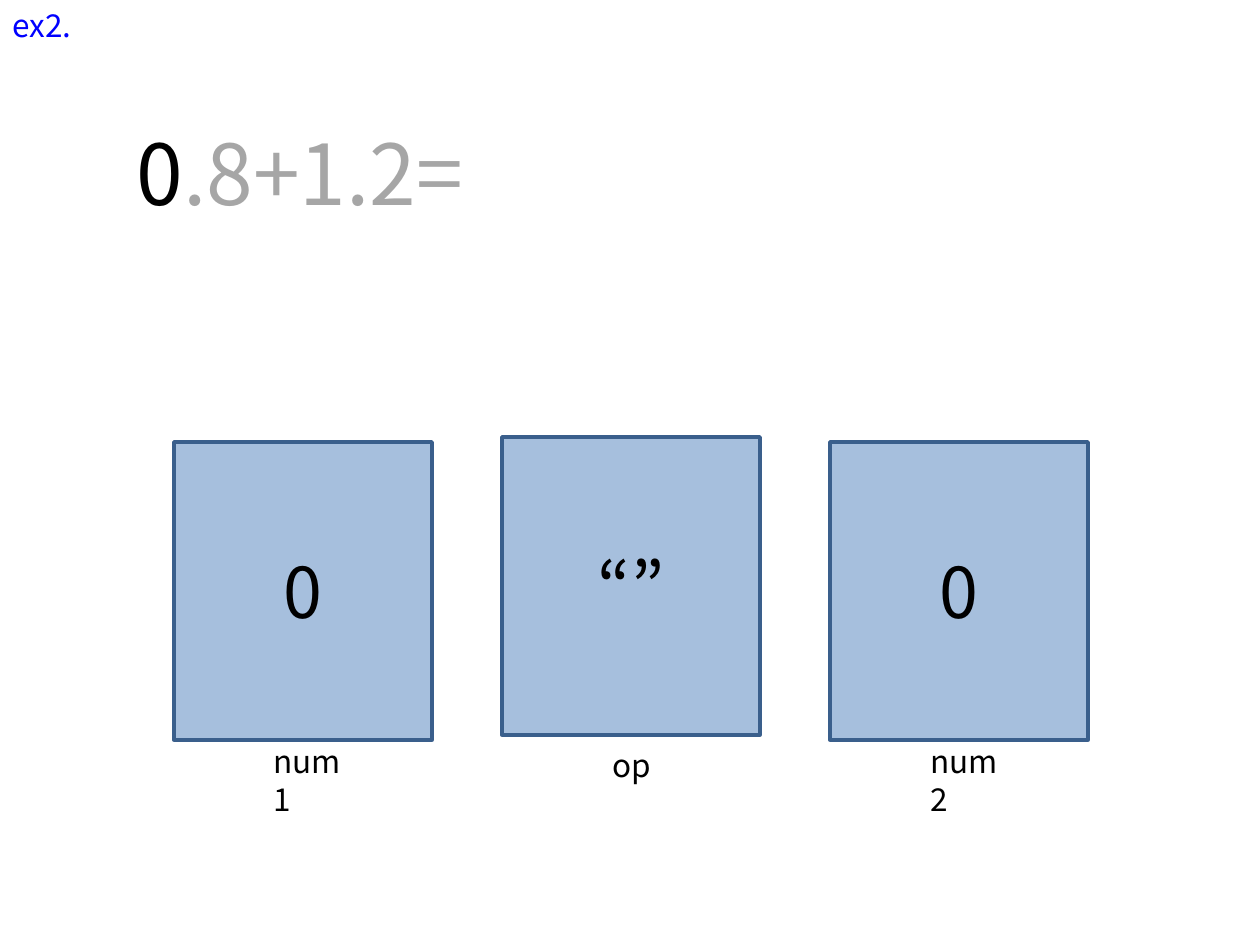
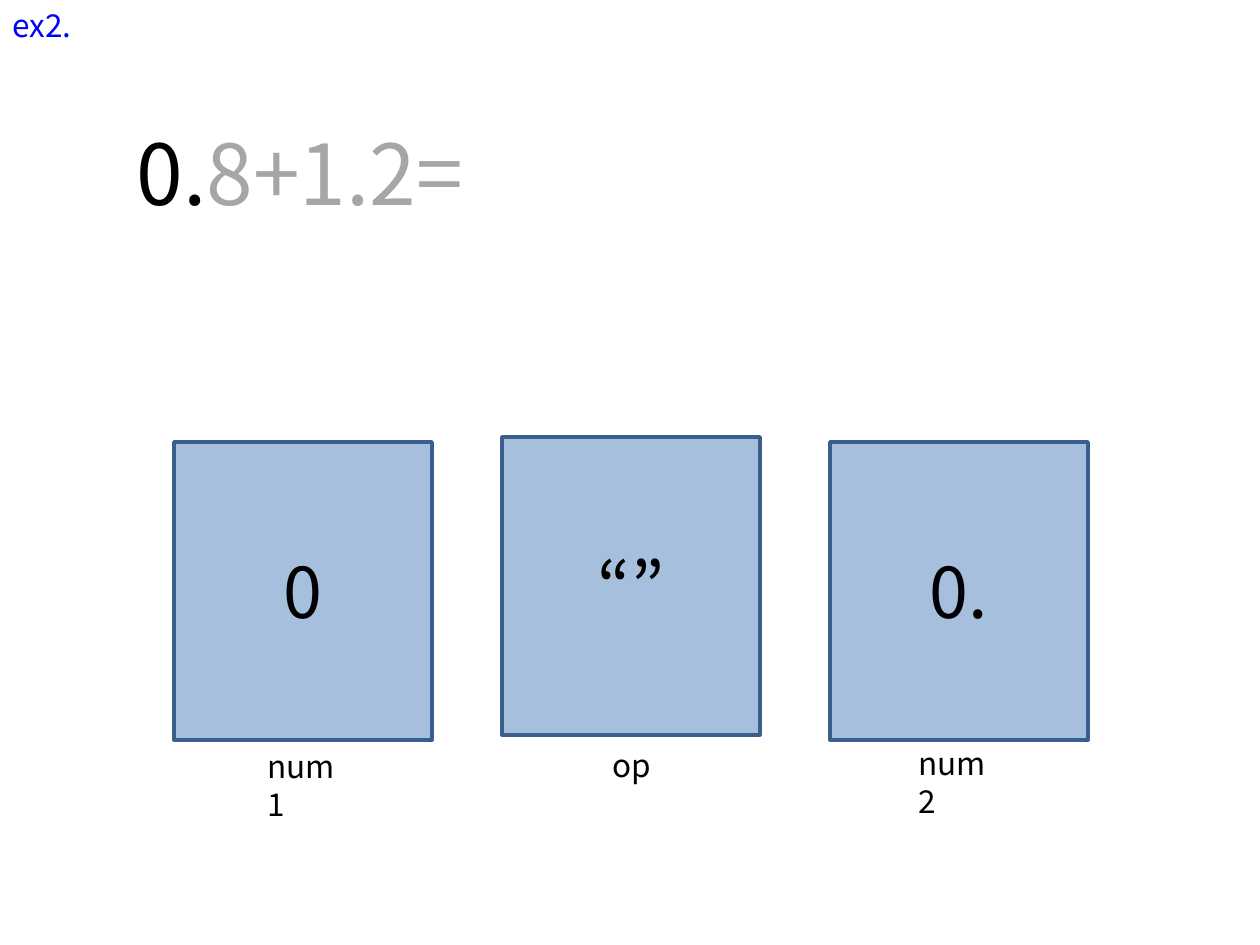
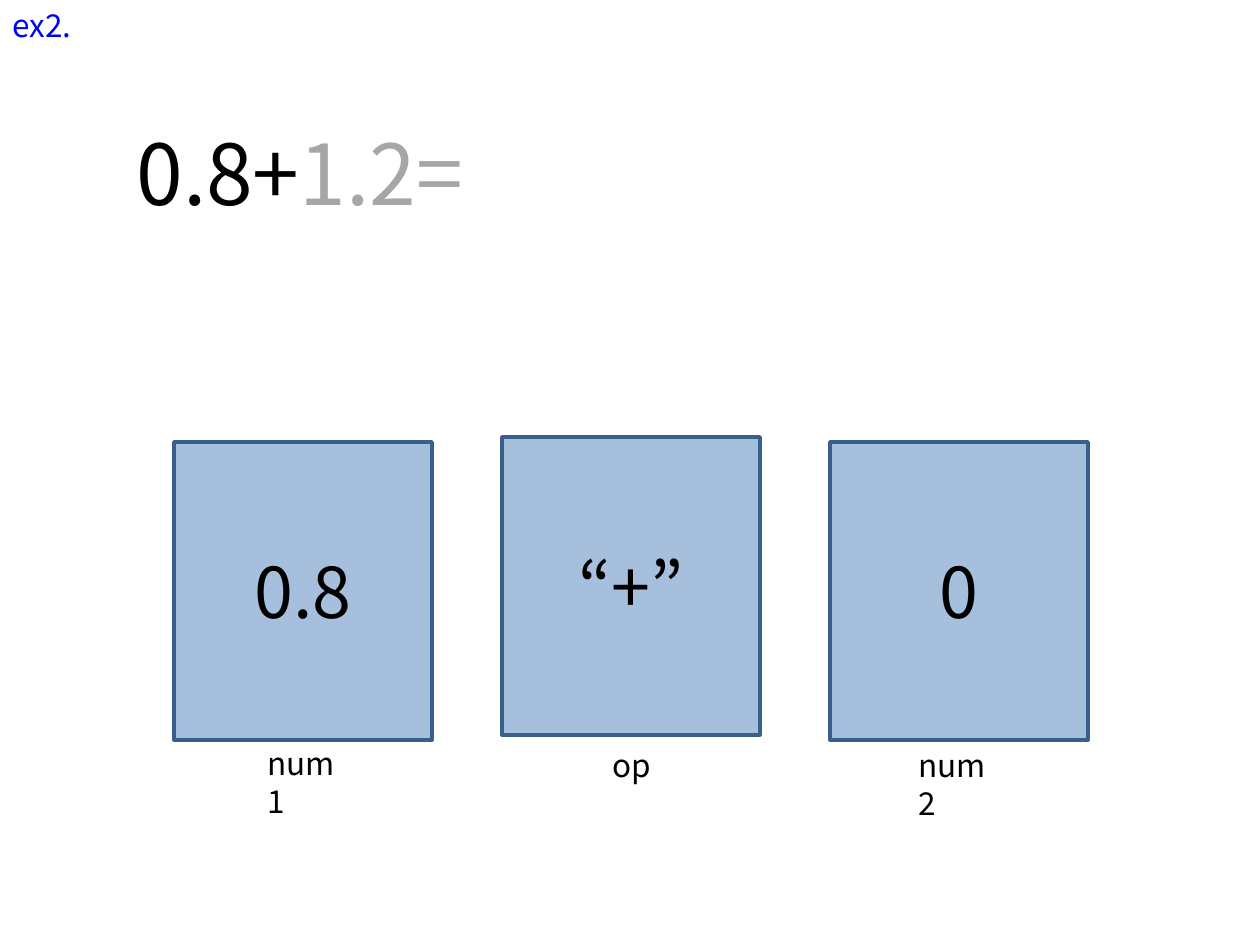
import pptx
import pptx.util
import pptx.dml.color
import pptx.enum.shapes
import pptx.enum.text
import pptx.oxml
import pptx.oxml.ns

# Content: the part of the equation already read, the rest, and each variable
# as (name, value, column, label left, label top), from back to front.
EXERCISE = "ex2. "
SLIDES = [
    ("0", ".8+1.2=", [("num1", "0", 0, 261, 736),
                      ("num2", "0", 2, 918, 736),
                      ("op", "“”", 1, 600, 740)]),
    ("0.", "8+1.2=", [("num1", "0", 0, 255, 741),
                      ("num2", "0.", 2, 906, 738),
                      ("op", "“”", 1, 600, 740)]),
    ("0.8+", "1.2=", [("num1", "0.8", 0, 255, 738),
                      ("num2", "0", 2, 906, 740),
                      ("op", "“+”", 1, 600, 740)]),
]

COLORS = {"text": "000000", "unread": "A6A6A6", "exercise": "0000FF",
          "box": "4F81BD", "border": "3A5F8C"}
FONT = "Noto Sans CJK KR"

# Layout in pixels
PX = 914400 / 126
SLIDE_W, SLIDE_H = 1260, 945
BOX_LEFT, BOX_STEP = 174, 328
BOX_W, BOX_H = 258, 298
NUM_TOP, OP_TOP = 442, 437
NUM_LABEL_W, OP_LABEL_W, LABEL_H = 107, 68, 50
EQUATION_AT = (124, 115, 369, 115)
EXERCISE_AT = (0, 0, 93, 50)


def emu(*pixels):
    """Turn pixel lengths into EMU."""
    return [pptx.util.Emu(round(n * PX)) for n in pixels]


def rgb(name):
    """Look up a named colour."""
    return pptx.dml.color.RGBColor.from_string(COLORS[name])


def style_run(r, size, color):
    """Set font, size and colour of a run, for Latin and East Asian text."""
    r.font.size = pptx.util.Pt(size)
    r.font.color.rgb = rgb(color)
    r.font.name = FONT
    ea = pptx.oxml.parse_xml(
        f'<a:ea {pptx.oxml.ns.nsdecls("a")} typeface="{FONT}"/>')
    r.font._element.append(ea)


def add_text(shapes, at, parts, size, wrap=False):
    """Add a text box holding one paragraph of (text, colour) parts."""
    tf = shapes.add_textbox(*emu(*at)).text_frame
    tf.word_wrap = wrap
    auto = pptx.enum.text.MSO_AUTO_SIZE
    tf.auto_size = auto.NONE if wrap else auto.SHAPE_TO_FIT_TEXT
    for text, color in parts:
        r = tf.paragraphs[0].add_run()
        r.text = text
        style_run(r, size, color)


def add_box(shapes, at, value):
    """Add a half-transparent box with a centred value."""
    sp = shapes.add_shape(pptx.enum.shapes.MSO_SHAPE.RECTANGLE, *emu(*at))
    sp.shadow.inherit = False
    sp.fill.solid()
    sp.fill.fore_color.rgb = rgb("box")
    fill_color = sp._element.spPr.find(".//" + pptx.oxml.ns.qn("a:srgbClr"))
    fill_color.append(pptx.oxml.parse_xml(
        f'<a:alpha {pptx.oxml.ns.nsdecls("a")} val="50000"/>'))
    sp.line.color.rgb = rgb("border")
    sp.line.width = pptx.util.Pt(2)
    tf = sp.text_frame
    tf.text = value
    tf.vertical_anchor = pptx.enum.text.MSO_ANCHOR.MIDDLE
    p = tf.paragraphs[0]
    p.alignment = pptx.enum.text.PP_ALIGN.CENTER
    style_run(p.runs[0], 40, "text")


def add_variable(s, name, value, column, label_left, label_top):
    """Add a group of a value box and the variable name below it."""
    shapes = s.shapes.add_group_shape().shapes
    is_op = name == "op"
    add_box(shapes, (BOX_LEFT + column * BOX_STEP,
                     OP_TOP if is_op else NUM_TOP, BOX_W, BOX_H), value)
    label_w = OP_LABEL_W if is_op else NUM_LABEL_W
    add_text(shapes, (label_left, label_top, label_w, LABEL_H),
             [(name, "text")], 18, wrap=True)


def add_step(prs, read, unread, variables):
    """Add one slide showing the state after reading part of the equation."""
    s = prs.slides.add_slide(prs.slide_layouts[6])
    add_text(s.shapes, EQUATION_AT, [(read, "text"), (unread, "unread")], 48)
    for variable in variables:
        add_variable(s, *variable)
    add_text(s.shapes, EXERCISE_AT, [(EXERCISE, "exercise")], 18)


prs = pptx.Presentation()
prs.slide_width, prs.slide_height = emu(SLIDE_W, SLIDE_H)
for step in SLIDES:
    add_step(prs, *step)
prs.save("out.pptx")
